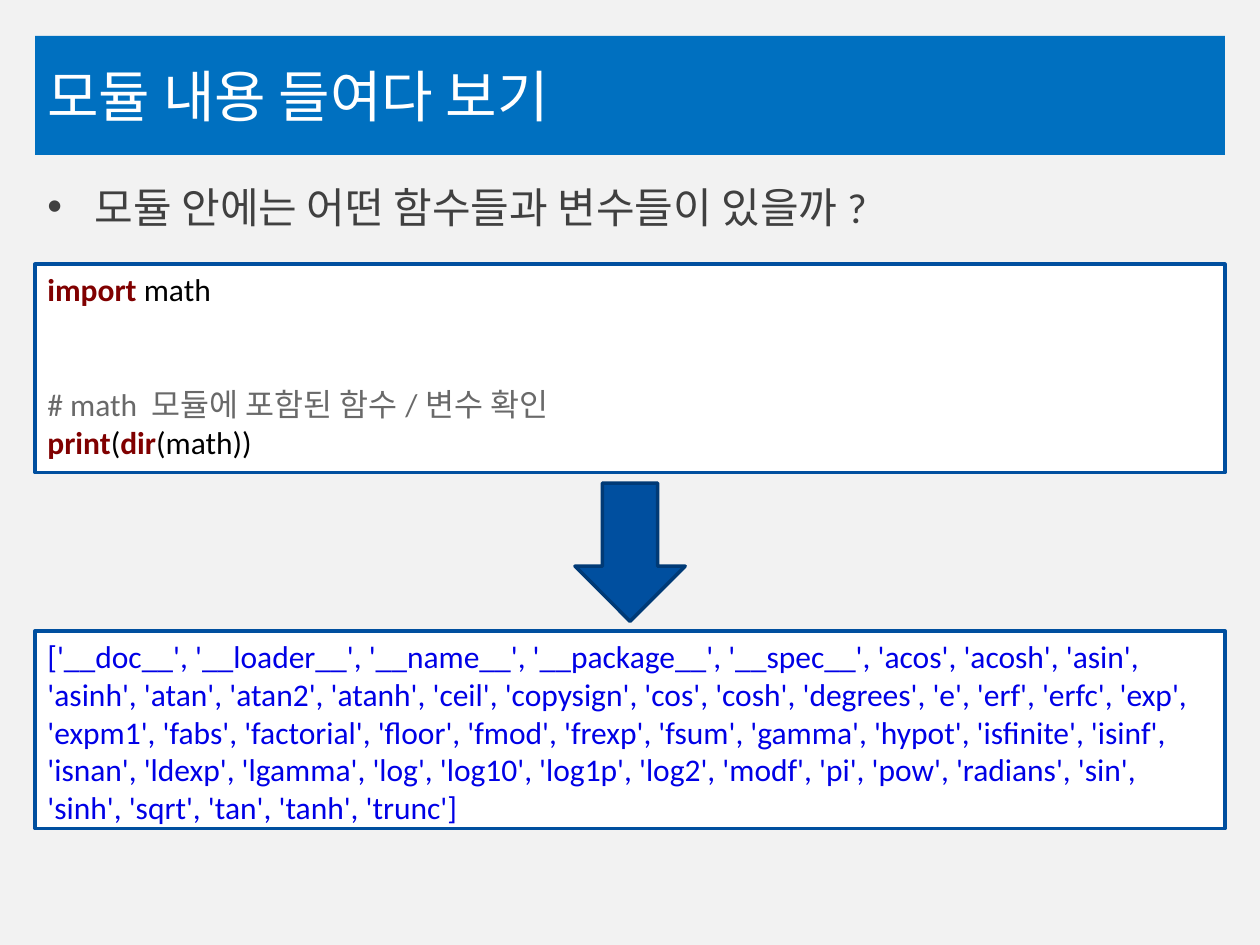
from pptx import Presentation
from pptx.dml.color import RGBColor
from pptx.enum.shapes import MSO_SHAPE as Shape
from pptx.enum.text import MSO_ANCHOR as Anchor, PP_ALIGN as Align
from pptx.oxml.ns import qn
from pptx.util import Pt
from lxml.etree import SubElement

LEFT, WIDTH = 20, 680
BLUE, KEYWORD, BLACK = "004F9F", "800000", "000000"
CODE = [
    [("import ", KEYWORD), ("math", BLACK)],
    [("# math 모듈에 포함된 함수/변수 확인", "696969")],
    [("print", KEYWORD), ("(", BLACK), ("dir", KEYWORD), ("(math))", BLACK)],
]
MATH_NAMES = (
    "__doc__ __loader__ __name__ __package__ __spec__ acos acosh asin asinh "
    "atan atan2 atanh ceil copysign cos cosh degrees e erf erfc exp expm1 "
    "fabs factorial floor fmod frexp fsum gamma hypot isfinite isinf isnan "
    "ldexp lgamma log log10 log1p log2 modf pi pow radians sin sinh sqrt tan "
    "tanh trunc"
).split()


def color(hex_code):
    """Return the colour for a hex string."""
    return RGBColor.from_string(hex_code)


def add_block(slide, kind, box, fill, line=None):
    """Add a flat shape with an optional two-point outline."""
    block = slide.shapes.add_shape(kind, *map(Pt, box))
    block.shadow.inherit = False
    block.fill.solid()
    block.fill.fore_color.rgb = color(fill)
    if line:
        block.line.color.rgb = color(line)
        block.line.width = Pt(2)
    else:
        block.line.fill.background()
    return block


def write_lines(frame, lines, size, font="Calibri", anchor=Anchor.TOP):
    """Write lines of (text, colour) parts, with keywords in bold."""
    frame.word_wrap = True
    frame.vertical_anchor = anchor
    for index, parts in enumerate(lines):
        paragraph = frame.paragraphs[0] if index == 0 else frame.add_paragraph()
        paragraph.alignment = Align.LEFT
        paragraph.font.size = Pt(size)
        paragraph.font.name = font
        for text, hex_code in parts:
            run = paragraph.add_run()
            run.text = text
            run.font.color.rgb = color(hex_code)
            if hex_code == KEYWORD:
                run.font.bold = True


def add_title(slide, text):
    """Add the title on its blue band."""
    band = add_block(slide, Shape.RECTANGLE, (LEFT, 20.5, WIDTH, 68), "0070C0")
    write_lines(band.text_frame, [[(text, "FFFFFF")]], 32, "Lato", Anchor.MIDDLE)


def add_question(slide, text):
    """Add the bulleted question under the title."""
    question = slide.shapes.add_textbox(*map(Pt, (LEFT, 100, WIDTH, 44)))
    write_lines(question.text_frame, [[(text, "404040")]], 24)
    properties = question.text_frame.paragraphs[0]._p.get_or_add_pPr()
    properties.set("marL", str(Pt(27)))
    properties.set("indent", str(-Pt(27)))
    SubElement(properties, qn("a:buFont"), typeface="Arial")
    SubElement(properties, qn("a:buChar"), char="•")


def add_listing(slide, top, height, lines):
    """Add a white outlined panel of code or output."""
    panel = add_block(slide, Shape.RECTANGLE, (LEFT, top, WIDTH, height), "FFFFFF", BLUE)
    write_lines(panel.text_frame, lines, 18)
    return panel


def main():
    """Build and save the slide."""
    deck = Presentation()
    deck.slide_width, deck.slide_height = Pt(720), Pt(540)
    slide = deck.slides.add_slide(deck.slide_layouts[6])
    slide.background.fill.solid()
    slide.background.fill.fore_color.rgb = color("F2F2F2")

    add_title(slide, "모듈 내용 들여다 보기")
    add_question(slide, "모듈 안에는 어떤 함수들과 변수들이 있을까?")
    code = add_listing(slide, 151, 119, CODE)
    code.text_frame.paragraphs[1].space_before = Pt(44)
    output = ", ".join(f"'{name}'" for name in MATH_NAMES)
    add_listing(slide, 360.5, 113, [[(f"[{output}]", "0000E6")]])
    add_block(slide, Shape.DOWN_ARROW, (328.5, 276, 63, 79), BLUE, "003A76")
    deck.save("out.pptx")


if __name__ == "__main__":
    main()
